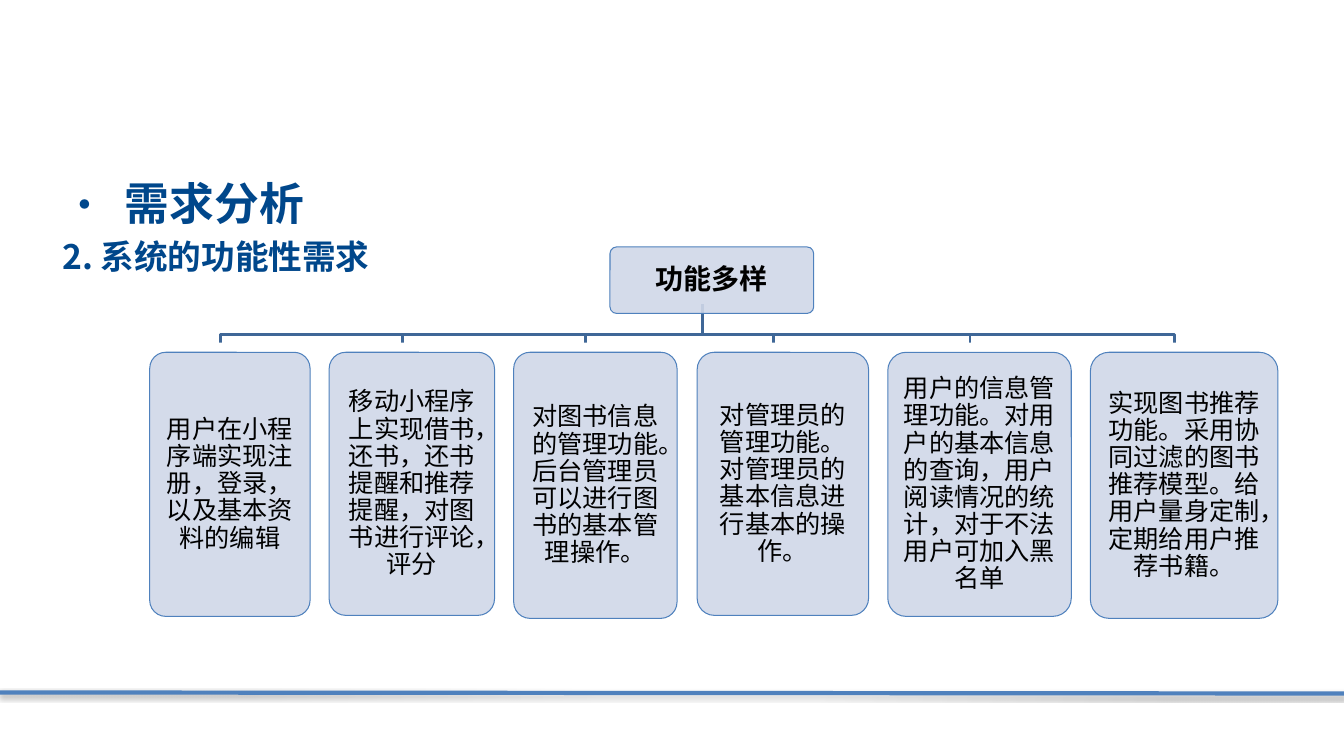
"""Build a slide showing the functional requirements as a one-level tree."""
from dataclasses import dataclass

from lxml.etree import SubElement
from pptx import Presentation
from pptx.dml.color import RGBColor
from pptx.enum.shapes import MSO_CONNECTOR as Connector, MSO_SHAPE as Shape
from pptx.enum.text import MSO_ANCHOR as Anchor, PP_ALIGN as Align
from pptx.oxml.ns import qn
from pptx.util import Inches, Pt

FONT = "Noto Sans CJK SC"
COLORS = {
    "heading": "00478B",
    "branch": "3F6797",
    "outline": "4F81BD",
    "card": "D0D8E8",
    "plate": "FFFFFF",
    "text": "000000",
}
STEM_X, STEM_TOP, BEND_Y, CARD_TOP = 6.97, 3.02, 3.32, 3.4
CARD_OFFSET = 0.095


@dataclass(frozen=True)
class Box:
    left: float
    top: float
    width: float
    height: float


@dataclass(frozen=True)
class Card:
    left: float
    width: float
    height: float
    text: str


CARDS = [
    Card(1.39, 1.59, 2.62, "用户在小程序端实现注册，登录，以及基本资料的编辑"),
    Card(3.17, 1.64, 2.61, "移动小程序上实现借书，还书，还书提醒和推荐提醒，对图书进行评论，评分"),
    Card(5.0, 1.62, 2.64, "对图书信息的管理功能。后台管理员可以进行图书的基本管理操作。"),
    Card(6.82, 1.7, 2.61, "对管理员的管理功能。对管理员的基本信息进行基本的操作。"),
    Card(8.71, 1.82, 2.62,
         "用户的信息管理功能。对用户的基本信息的查询，用户阅读情况的统计，对于不法用户可加入黑名单"),
    Card(10.72, 1.86, 2.64,
         "实现图书推荐功能。采用协同过滤的图书推荐模型。给用户量身定制，定期给用户推荐书籍。"),
]


def color(name: str) -> RGBColor:
    return RGBColor.from_string(COLORS[name])


def format_paragraph(para, size: float, line: float, tint: str, bold: bool) -> None:
    para.line_spacing = Pt(line)
    para._p.get_or_add_pPr().set("hangingPunct", "1")
    for span in para.runs:
        span.font.name = FONT
        span.font.size = Pt(size)
        span.font.bold = bold
        span.font.color.rgb = color(tint)
        SubElement(span._r.get_or_add_rPr(), qn("a:ea"), typeface=FONT)


def add_rounded(page, box: Box, fill: str):
    shape = page.shapes.add_shape(
        Shape.ROUNDED_RECTANGLE, Inches(box.left), Inches(box.top),
        Inches(box.width), Inches(box.height))
    shape.adjustments[0] = 0.1
    shape.shadow.inherit = False
    shape.fill.solid()
    shape.fill.fore_color.rgb = color(fill)
    shape.line.fill.background()
    return shape


def add_label(page, box: Box, text: str, size: float, line: float,
              inset: float, bold: bool = False) -> None:
    shape = add_rounded(page, box, "card")
    tint = shape.fill._xPr.find(qn("a:solidFill"))[0]
    SubElement(tint, qn("a:alpha"), val="90000")
    shape.line.color.rgb = color("outline")
    shape.line.width = Pt(0.75)
    frame = shape.text_frame
    frame.word_wrap = True
    frame.vertical_anchor = Anchor.MIDDLE
    frame.margin_left = frame.margin_right = Inches(inset)
    frame.margin_top = frame.margin_bottom = Inches(inset)
    frame.text = text
    para = frame.paragraphs[0]
    para.alignment = Align.CENTER
    format_paragraph(para, size, line, "text", bold)


def add_branch(page, card: Card) -> None:
    end_x = Inches(card.left + card.width / 2)
    builder = page.shapes.build_freeform(Inches(STEM_X), Inches(STEM_TOP))
    builder.add_line_segments([
        (Inches(STEM_X), Inches(BEND_Y)),
        (end_x, Inches(BEND_Y)),
        (end_x, Inches(CARD_TOP)),
    ], close=False)
    branch = builder.convert_to_shape()
    branch.shadow.inherit = False
    branch.fill.background()
    branch.line.color.rgb = color("branch")
    branch.line.width = Pt(2)


def add_footer_rule(page) -> None:
    rule = page.shapes.add_connector(
        Connector.STRAIGHT, Inches(0), Inches(6.87), Inches(13.33), Inches(6.88))
    rule.line.color.rgb = color("outline")
    rule.line.width = Pt(3)
    effects = SubElement(rule._element.spPr, qn("a:effectLst"))
    shadow = SubElement(effects, qn("a:outerShdw"), blurRad=str(Pt(3.1)),
                        dist=str(Pt(1.8)), dir="5400000", rotWithShape="0")
    tint = SubElement(shadow, qn("a:srgbClr"), val=COLORS["text"])
    SubElement(tint, qn("a:alpha"), val="35000")


def add_heading(page) -> None:
    box = page.shapes.add_textbox(
        Inches(0.52), Inches(1.69), Inches(11.76), Inches(3.94))
    frame = box.text_frame
    frame.word_wrap = True
    frame.text = "需求分析\n2. 系统的功能性需求"
    for para, size in zip(frame.paragraphs, (32, 24)):
        para.space_before = Pt(size * 0.2)
        format_paragraph(para, size, size * 1.2, "heading", True)
    bullet = frame.paragraphs[0]._p.get_or_add_pPr()
    bullet.set("marL", str(Inches(0.62)))
    bullet.set("indent", str(-Inches(0.62)))
    SubElement(bullet, qn("a:buFont"), typeface=FONT)
    SubElement(bullet, qn("a:buChar"), char="•")


def main() -> None:
    deck = Presentation()
    deck.slide_width, deck.slide_height = Inches(13.33), Inches(7.5)
    page = deck.slides.add_slide(deck.slide_layouts[6])
    add_footer_rule(page)
    add_heading(page)
    for card in reversed(CARDS):
        add_branch(page, card)
    add_label(page, Box(6.05, 2.45, 2.02, 0.66), "功能多样", 20, 21.6, 0.08, True)
    for card in CARDS:
        add_rounded(page, Box(card.left, CARD_TOP, card.width, card.height), "plate")
        front = Box(card.left + CARD_OFFSET, CARD_TOP + CARD_OFFSET,
                    card.width, card.height)
        add_label(page, front, card.text, 18, 19.4, 0.07)
    deck.save("out.pptx")


if __name__ == "__main__":
    main()
